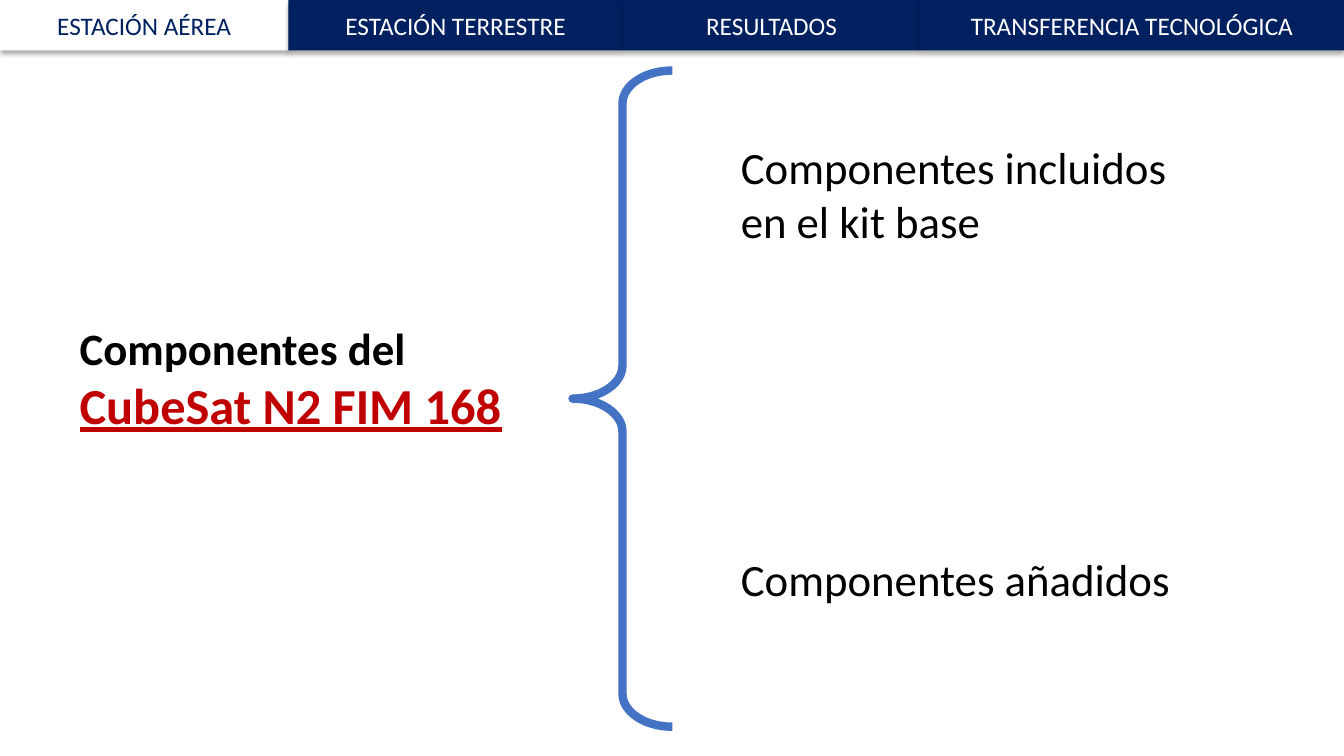
from itertools import accumulate

from lxml import etree
from pptx import Presentation
from pptx import util as u
from pptx.dml.color import RGBColor
from pptx.enum import shapes, text
from pptx.oxml.ns import qn

NAVY, WHITE, BLACK = "002060", "FFFFFF", "000000"
RED, BLUE = "C00000", "4472C4"


def color(code):
    return RGBColor.from_string(code)


class Deck:
    """Style and current slide; lengths are percentages of the slide's size."""

    font = "Calibri"

    def __init__(self):
        self.prs = Presentation()
        self.prs.slide_width = u.Inches(13.33)
        self.prs.slide_height = u.Inches(7.5)
        self.slide = self.prs.slides.add_slide(self.prs.slide_layouts[6])

    def area(self, x, y, w, h):
        wide, high = self.prs.slide_width, self.prs.slide_height
        return [u.Emu(round(share * full / 100))
                for share, full in ((x, wide), (y, high), (w, wide), (h, high))]

    def style(self, run, size, ink, bold=False, under=False):
        font = run.font
        font.name, font.size = self.font, u.Pt(size)
        font.color.rgb = color(ink)
        if bold:
            font.bold = True
        if under:
            font.underline = True

    def shade(self, shape):
        """Add a soft shadow below the shape."""
        shape.shadow.inherit = False
        effects = shape._element.spPr.find(qn("a:effectLst"))
        outer = etree.SubElement(
            effects, qn("a:outerShdw"), blurRad=str(u.Pt(3.5)),
            dist=str(u.Pt(2.2)), dir="5400000", algn="t", rotWithShape="0")
        tint = etree.SubElement(outer, qn("a:srgbClr"), val=BLACK)
        etree.SubElement(tint, qn("a:alpha"), val="32000")

    def tab(self, x, w, h, label, fill, ink):
        box = self.slide.shapes.add_shape(
            shapes.MSO_SHAPE.RECTANGLE, *self.area(x, 0, w, h))
        box.fill.solid()
        box.fill.fore_color.rgb = color(fill)
        box.line.fill.background()
        self.shade(box)
        frame = box.text_frame
        frame.text = label
        frame.vertical_anchor = text.MSO_ANCHOR.MIDDLE
        line = frame.paragraphs[0]
        line.alignment = text.PP_ALIGN.CENTER
        self.style(line.runs[0], 18, ink)

    def brace(self, x, y, w, h):
        mark = self.slide.shapes.add_shape(
            shapes.MSO_SHAPE.LEFT_BRACE, *self.area(x, y, w, h))
        mark.adjustments[0] = 0.33
        mark.shadow.inherit = False
        mark.fill.background()
        mark.line.color.rgb = color(BLUE)
        mark.line.width = u.Pt(6)

    def note(self, x, y, w, h, *parts):
        """Add a text box; each part is words followed by its run style."""
        frame = self.slide.shapes.add_textbox(*self.area(x, y, w, h)).text_frame
        frame.word_wrap = True
        frame.auto_size = text.MSO_AUTO_SIZE.SHAPE_TO_FIT_TEXT
        for words, *look in parts:
            run = frame.paragraphs[0].add_run()
            run.text = words
            self.style(run, *look)


def main():
    deck = Deck()
    deck.brace(42.6, 9.33, 7.43, 86.8)
    deck.note(5.18, 41.73, 33, 16.67,
              ("Componentes del ", 32, BLACK, True),
              ("CubeSat N2 FIM 168", 36, RED, True, True))
    for y, h, words in ((17.87, 15.73, "Componentes incluidos en el kit base"),
                        (72.27, 8.53, "Componentes añadidos")):
        deck.note(54.38, y, 34.2, h, (words, 32, BLACK))

    labels = ("ESTACIÓN AÉREA", "ESTACIÓN TERRESTRE", "RESULTADOS",
              "TRANSFERENCIA TECNOLÓGICA")
    widths = (21.45, 24.9, 22.1, 31.55)
    active = labels[0]
    for label, w, end in zip(labels, widths, accumulate(widths)):
        fill, ink = (WHITE, NAVY) if label == active else (NAVY, WHITE)
        deck.tab(end - w, w, 6.67, label, fill, ink)

    deck.prs.save("out.pptx")


if __name__ == "__main__":
    main()
